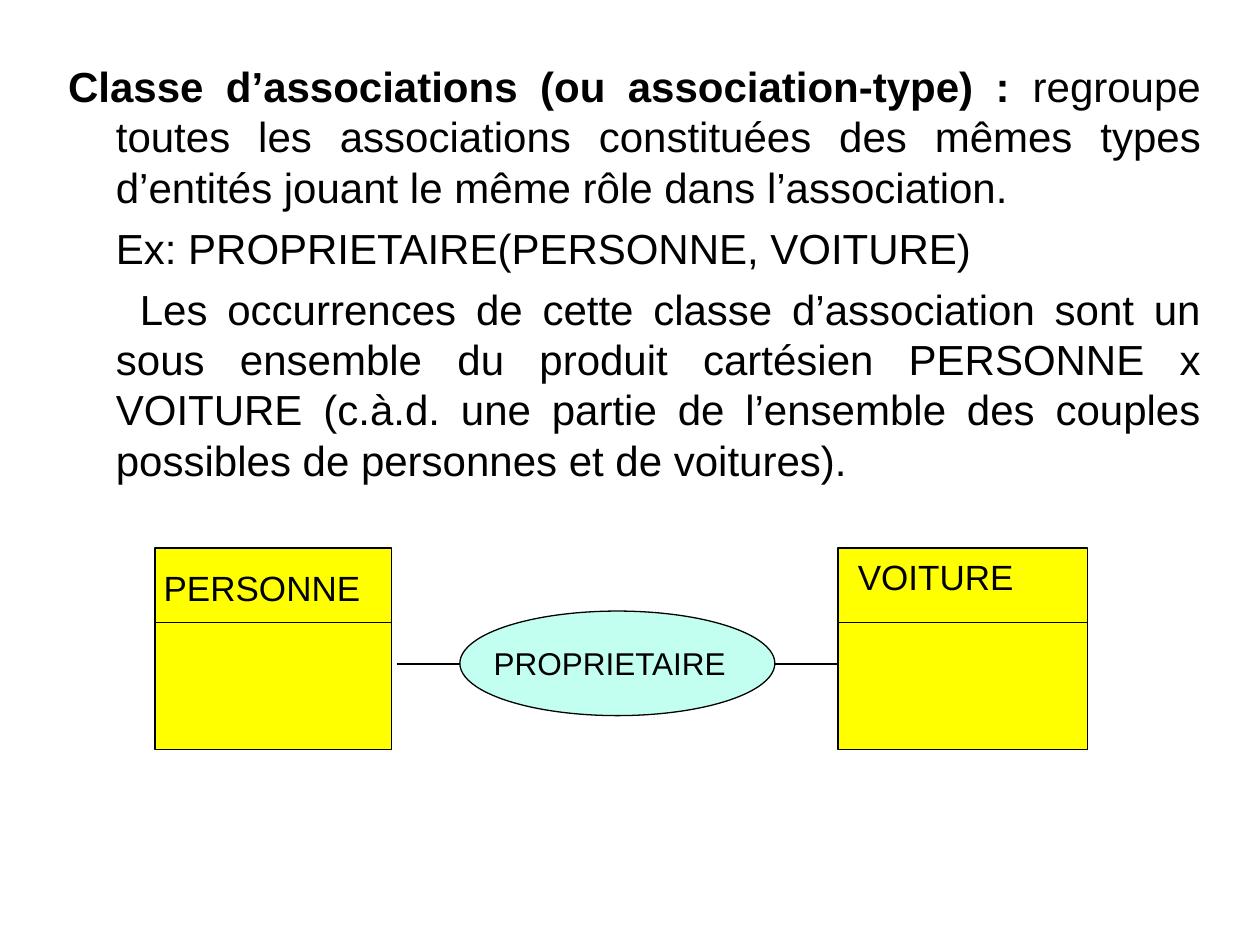
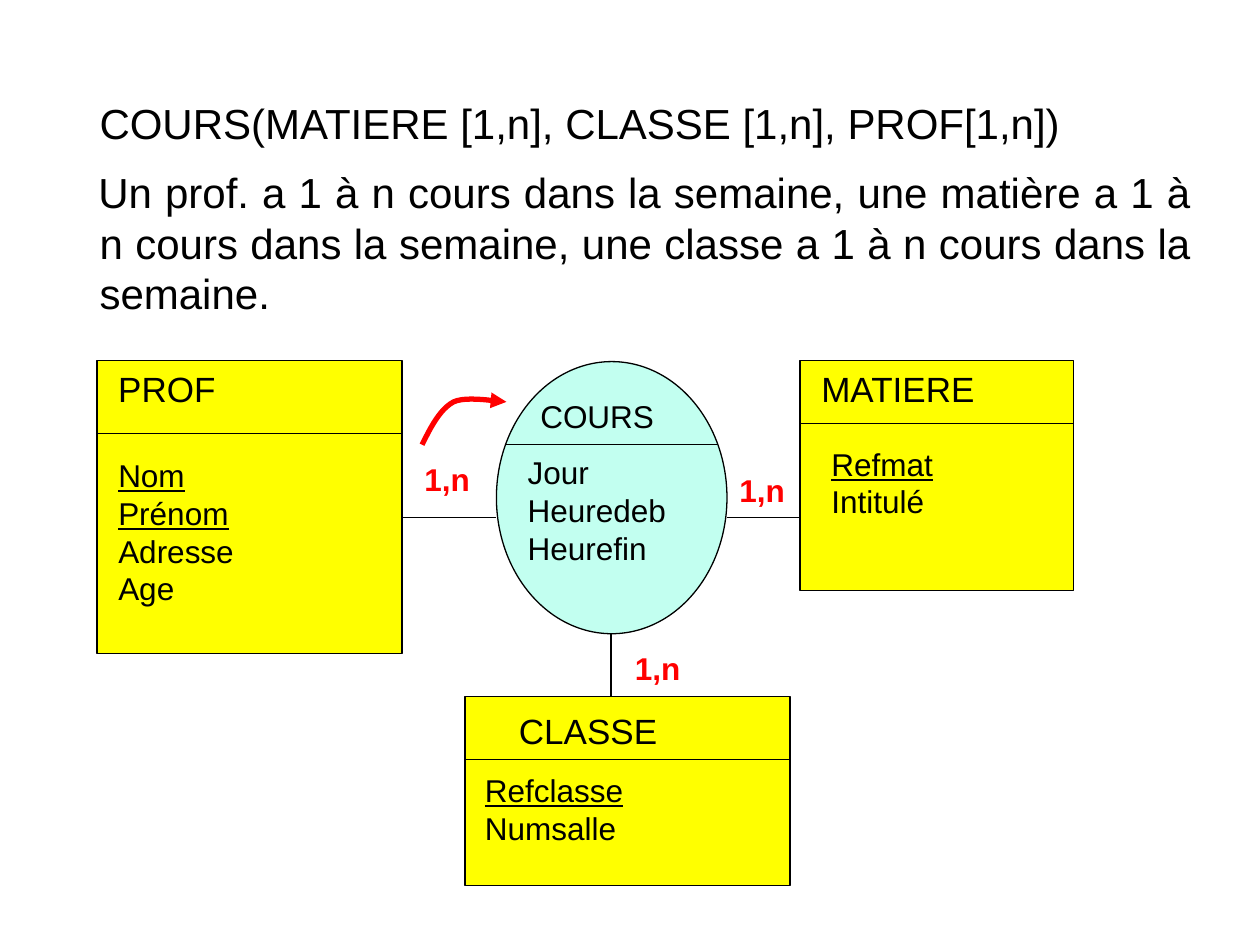
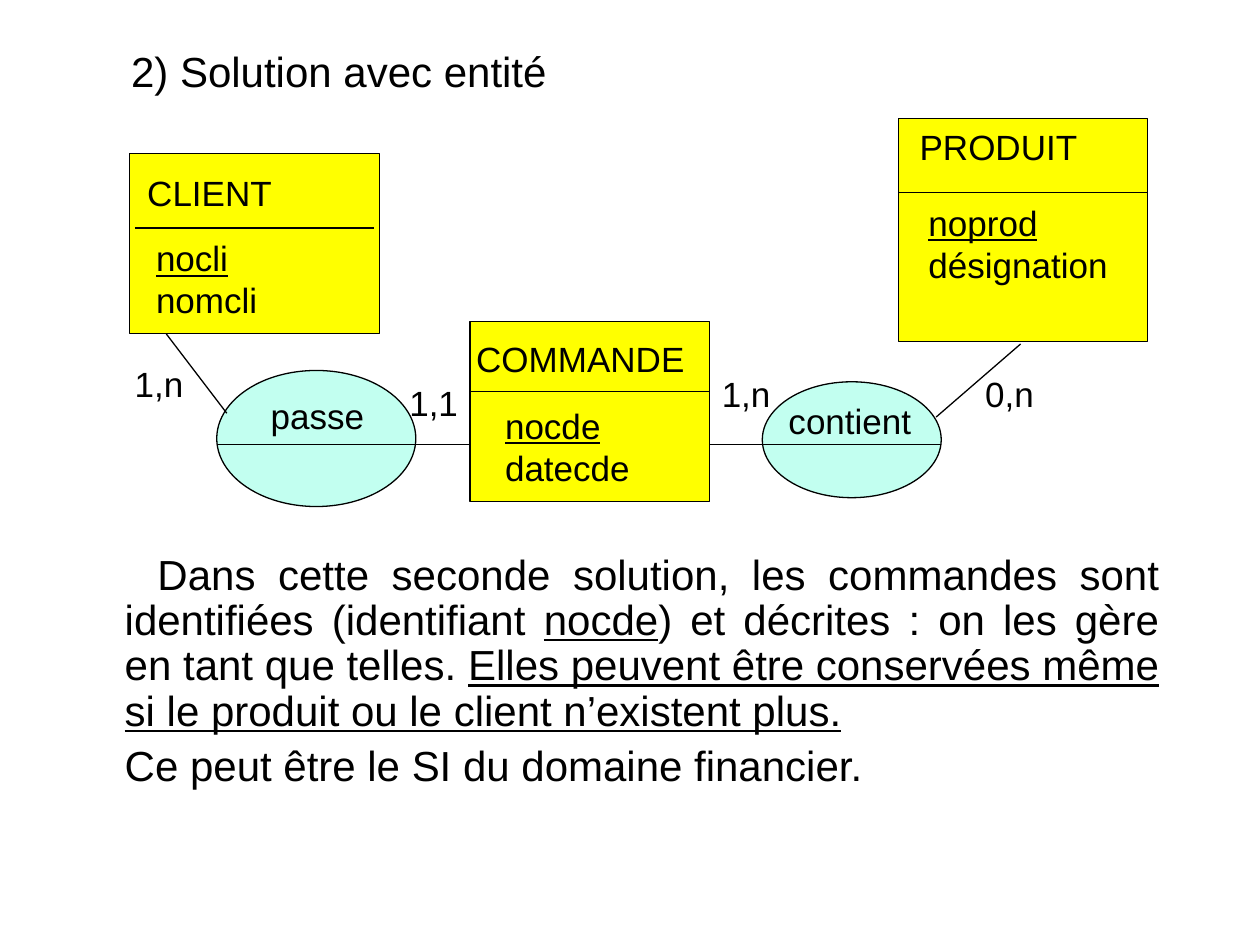
from lxml import etree
from pptx import Presentation
from pptx.dml.color import RGBColor
from pptx.enum.shapes import MSO_CONNECTOR, MSO_SHAPE
from pptx.enum.text import MSO_ANCHOR, MSO_AUTO_SIZE, PP_ALIGN
from pptx.oxml.ns import qn
from pptx.util import Inches, Pt

COLORS = {
    "text": "000000",
    "line": "000000",
    "entity": "FFFF00",
    "association": "C2FFF0",
    "accent": "FF0000",
}
FONT = "Arial"
BODY_SIZE = 24
NAME_SIZE = 20
LINE_PITCH = 1.2
HANGING = 0.38
TITLE_AND_BODY = 1
RECTANGLE = MSO_SHAPE.RECTANGLE
ELLIPSE = MSO_SHAPE.OVAL
STRAIGHT = MSO_CONNECTOR.STRAIGHT
LEFT = PP_ALIGN.LEFT
JUSTIFIED = PP_ALIGN.JUSTIFY
TOP = MSO_ANCHOR.TOP
NO_AUTOFIT = MSO_AUTO_SIZE.NONE


def color(name):
    return RGBColor.from_string(COLORS[name])


def add_run(paragraph, text, size=BODY_SIZE, bold=False, underline=False, color_name="text"):
    run = paragraph.add_run()
    run.text = text
    run.font.name = FONT
    run.font.size = Pt(size)
    run.font.bold = bold
    run.font.underline = underline
    run.font.color.rgb = color(color_name)


def next_paragraph(frame, index):
    return frame.paragraphs[0] if index == 0 else frame.add_paragraph()


def place(shape, left, top, width, height):
    shape.left, shape.top = Inches(left), Inches(top)
    shape.width, shape.height = Inches(width), Inches(height)


def add_slide(presentation, title=None):
    slide = presentation.slides.add_slide(presentation.slide_layouts[TITLE_AND_BODY])
    heading = slide.shapes.title
    if title is None:
        heading.element.getparent().remove(heading.element)
        return slide
    place(heading, 0.94, 0.31, 3.5, 0.5)
    frame = heading.text_frame
    frame.auto_size = NO_AUTOFIT
    frame.vertical_anchor = TOP
    paragraph = frame.paragraphs[0]
    paragraph.alignment = LEFT
    paragraph.line_spacing = Pt(BODY_SIZE * LINE_PITCH)
    add_run(paragraph, title)
    return slide


def fill_body(slide, box, paragraphs, tightness=1.0, space_before=6):
    """Each paragraph is (first line indent, alignment, [(text, run options)])."""
    body = slide.placeholders[1]
    place(body, *box)
    frame = body.text_frame
    frame.auto_size = NO_AUTOFIT
    frame.vertical_anchor = TOP
    for index, (indent, alignment, runs) in enumerate(paragraphs):
        paragraph = next_paragraph(frame, index)
        paragraph.alignment = alignment
        paragraph.space_before = Pt(space_before if index else 0)
        paragraph.line_spacing = Pt(round(BODY_SIZE * LINE_PITCH * tightness, 1))
        properties = paragraph._p.get_or_add_pPr()
        properties.set("marL", str(Inches(HANGING)))
        properties.set("indent", str(Inches(indent)))
        etree.SubElement(properties, qn("a:buNone"))
        for text, options in runs:
            add_run(paragraph, text, **options)


def add_label(slide, left, top, width, lines, size=NAME_SIZE, keys=0, **options):
    """Write lines of text; the first `keys` lines are underlined identifiers."""
    height = 0.1 + len(lines) * size * LINE_PITCH / 72
    label = slide.shapes.add_textbox(
        Inches(left), Inches(top), Inches(width), Inches(height))
    frame = label.text_frame
    frame.word_wrap = True
    frame.auto_size = NO_AUTOFIT
    frame.margin_right = 0
    for index, line in enumerate(lines):
        paragraph = next_paragraph(frame, index)
        paragraph.alignment = LEFT
        paragraph.line_spacing = Pt(size * LINE_PITCH)
        add_run(paragraph, line, size, underline=index < keys, **options)


def add_line(slide, start_x, start_y, end_x, end_y):
    line = slide.shapes.add_connector(
        STRAIGHT, Inches(start_x), Inches(start_y), Inches(end_x), Inches(end_y))
    line.line.color.rgb = color("line")
    line.line.width = Pt(0.75)
    etree.SubElement(line._element.spPr, qn("a:effectLst"))


def add_outlined(slide, kind, box, fill):
    left, top, width, height = box
    shape = slide.shapes.add_shape(
        kind, Inches(left), Inches(top), Inches(width), Inches(height))
    shape.shadow.inherit = False
    shape.fill.solid()
    shape.fill.fore_color.rgb = color(fill)
    shape.line.color.rgb = color("line")
    shape.line.width = Pt(0.75)


def add_entity(slide, box, divider_y, name, name_box, inset=0):
    """Draw a yellow box whose name stands above a dividing line."""
    left, _, width, _ = box
    add_outlined(slide, RECTANGLE, box, "entity")
    add_line(slide, left + inset, divider_y, left + width - inset, divider_y)
    add_label(slide, *name_box, [name])


def add_association(slide, box, name, name_box, size=NAME_SIZE, divider=None):
    """Draw an ellipse; divider is (start x, end x, y)."""
    add_outlined(slide, ELLIPSE, box, "association")
    if divider:
        start_x, end_x, y = divider
        add_line(slide, start_x, y, end_x, y)
    add_label(slide, *name_box, [name], size)


def bezier_points(start, control_1, control_2, end, steps=12):
    for step in range(1, steps + 1):
        t = step / steps
        weights = ((1 - t) ** 3, 3 * t * (1 - t) ** 2, 3 * t * t * (1 - t), t ** 3)
        yield tuple(
            Inches(sum(weight * value for weight, value in zip(weights, values)))
            for values in zip(start, control_1, control_2, end))


def add_curved_arrow(slide, start, *curves):
    builder = slide.shapes.build_freeform(Inches(start[0]), Inches(start[1]))
    for control_1, control_2, end in curves:
        points = list(bezier_points(start, control_1, control_2, end))
        builder.add_line_segments(points, close=False)
        start = end
    arrow = builder.convert_to_shape()
    arrow.shadow.inherit = False
    arrow.fill.background()
    arrow.line.color.rgb = color("accent")
    arrow.line.width = Pt(3)
    etree.SubElement(arrow.line._get_or_add_ln(), qn("a:tailEnd"), type="triangle")


def build_association_class(presentation):
    slide = add_slide(presentation)
    fill_body(slide, (0.44, 0.43, 9.19, 6.17), [
        (-HANGING, JUSTIFIED, [
            ("Classe d’associations (ou association-type) : ", {"bold": True}),
            ("regroupe toutes les associations constituées des mêmes types "
             "d’entités jouant le même rôle dans l’association.", {})]),
        (0, JUSTIFIED, [("Ex: PROPRIETAIRE(PERSONNE, VOITURE)", {})]),
        (0.19, JUSTIFIED, [
            ("Les occurrences de cette classe d’association sont un sous ensemble "
             "du produit cartésien PERSONNE x VOITURE (c.à.d. une partie de "
             "l’ensemble des couples possibles de personnes et de voitures).", {})]),
    ])
    add_entity(slide, (1.23, 4.35, 1.88, 1.6), 4.94, "PERSONNE", (1.2, 4.45, 1.76))
    add_entity(slide, (6.65, 4.35, 1.98, 1.6), 4.94, "VOITURE", (6.71, 4.36, 1.43))
    add_line(slide, 3.15, 5.27, 6.65, 5.27)
    add_association(slide, (3.65, 4.85, 2.5, 0.83), "PROPRIETAIRE",
                    (3.82, 5.06, 2.06), size=18)


def build_course_model(presentation):
    slide = add_slide(presentation)
    fill_body(slide, (0.31, 0.72, 9.24, 6.03), [
        (0, LEFT, [("COURS(MATIERE [1,n], CLASSE [1,n], PROF[1,n])", {})]),
        (-0.01, JUSTIFIED, [
            ("Un prof. a 1 à n cours dans la semaine, une matière a 1 à n cours "
             "dans la semaine, une classe a 1 à n cours dans la semaine.", {})]),
    ], space_before=11)

    add_entity(slide, (0.77, 2.86, 2.42, 2.33), 3.44, "PROF", (0.84, 2.87, 0.97))
    add_entity(slide, (6.35, 2.86, 2.17, 1.83), 3.36, "MATIERE", (6.42, 2.87, 1.43))
    add_entity(slide, (3.69, 5.53, 2.58, 1.5), 6.03, "CLASSE", (4.02, 5.58, 1.3))
    add_association(slide, (3.94, 2.87, 1.83, 2.16), "COURS", (4.19, 3.1, 1.1),
                    size=18, divider=(4.02, 5.69, 3.53))
    for left, top, width, attributes, keys in (
        (0.84, 3.57, 1.18, ["Nom", "Prénom", "Adresse", "Age"], 2),
        (4.09, 3.55, 1.3, ["Jour", "Heuredeb", "Heurefin"], 0),
        (6.5, 3.48, 1, ["Refmat", "Intitulé"], 1),
        (3.75, 6.07, 1.3, ["Refclasse", "Numsalle"], 1),
    ):
        add_label(slide, left, top, width, attributes, 18, keys)

    add_line(slide, 3.19, 4.11, 3.94, 4.11)
    add_line(slide, 5.77, 4.11, 6.35, 4.11)
    add_line(slide, 4.85, 5.03, 4.85, 5.53)
    for left, top in ((3.27, 3.6), (5.77, 3.69), (4.94, 5.1)):
        add_label(slide, left, top, 0.56, ["1,n"], 18, bold=True, color_name="accent")
    add_curved_arrow(slide, (3.35, 3.53),
                     ((3.42, 3.39), (3.49, 3.25), (3.6, 3.19)),
                     ((3.71, 3.14), (3.95, 3.19), (4.02, 3.19)))


def build_order_model(presentation):
    slide = add_slide(presentation, "2) Solution avec entité")
    fill_body(slide, (0.51, 4.34, 8.79, 2.7), [
        (0.26, JUSTIFIED, [
            ("Dans cette seconde solution, les commandes sont identifiées "
             "(identifiant ", {}),
            ("nocde", {"underline": True}),
            (") et décrites : on les gère en tant que telles. ", {}),
            ("Elles peuvent être conservées même si le produit ou le client "
             "n’existent plus.", {"underline": True})]),
        (0, JUSTIFIED, [("Ce peut être le SI du domaine financier.", {})]),
    ], tightness=0.9)

    add_entity(slide, (1.03, 1.22, 1.98, 1.43), 1.81, "CLIENT",
               (1.07, 1.31, 1.19), inset=0.04)
    add_entity(slide, (7.13, 0.94, 1.98, 1.77), 1.53, "PRODUIT", (7.2, 0.95, 1.45))
    add_entity(slide, (3.73, 2.55, 1.9, 1.43), 3.11, "COMMANDE", (3.68, 2.63, 1.85))
    for left, top, width, attributes in (
        (1.14, 1.83, 1, ["nocli", "nomcli"]),
        (7.27, 1.55, 1.62, ["noprod", "désignation"]),
        (3.91, 3.16, 1.19, ["nocde", "datecde"]),
    ):
        add_label(slide, left, top, width, attributes, keys=1)

    add_association(slide, (1.72, 2.94, 1.58, 1.08), "passe", (2.05, 3.08, 0.94),
                    divider=(1.72, 3.3, 3.53))
    add_association(slide, (6.05, 3.03, 1.42, 0.92), "contient", (6.16, 3.12, 1.17),
                    divider=(6.05, 7.47, 3.53))
    add_line(slide, 1.32, 2.65, 1.8, 3.28)
    add_line(slide, 3.3, 3.53, 3.72, 3.53)
    add_line(slide, 5.63, 3.53, 6.05, 3.53)
    add_line(slide, 7.43, 3.31, 8.1, 2.73)
    for left, top, cardinality in (
        (0.97, 2.83, "1,n"), (3.15, 2.98, "1,1"), (5.63, 2.91, "1,n"), (7.72, 2.91, "0,n"),
    ):
        add_label(slide, left, top, 0.58, [cardinality])


def main():
    presentation = Presentation()
    presentation.slide_width = Inches(10)
    presentation.slide_height = Inches(7.5)
    build_association_class(presentation)
    build_course_model(presentation)
    build_order_model(presentation)
    presentation.save("out.pptx")


if __name__ == "__main__":
    main()
